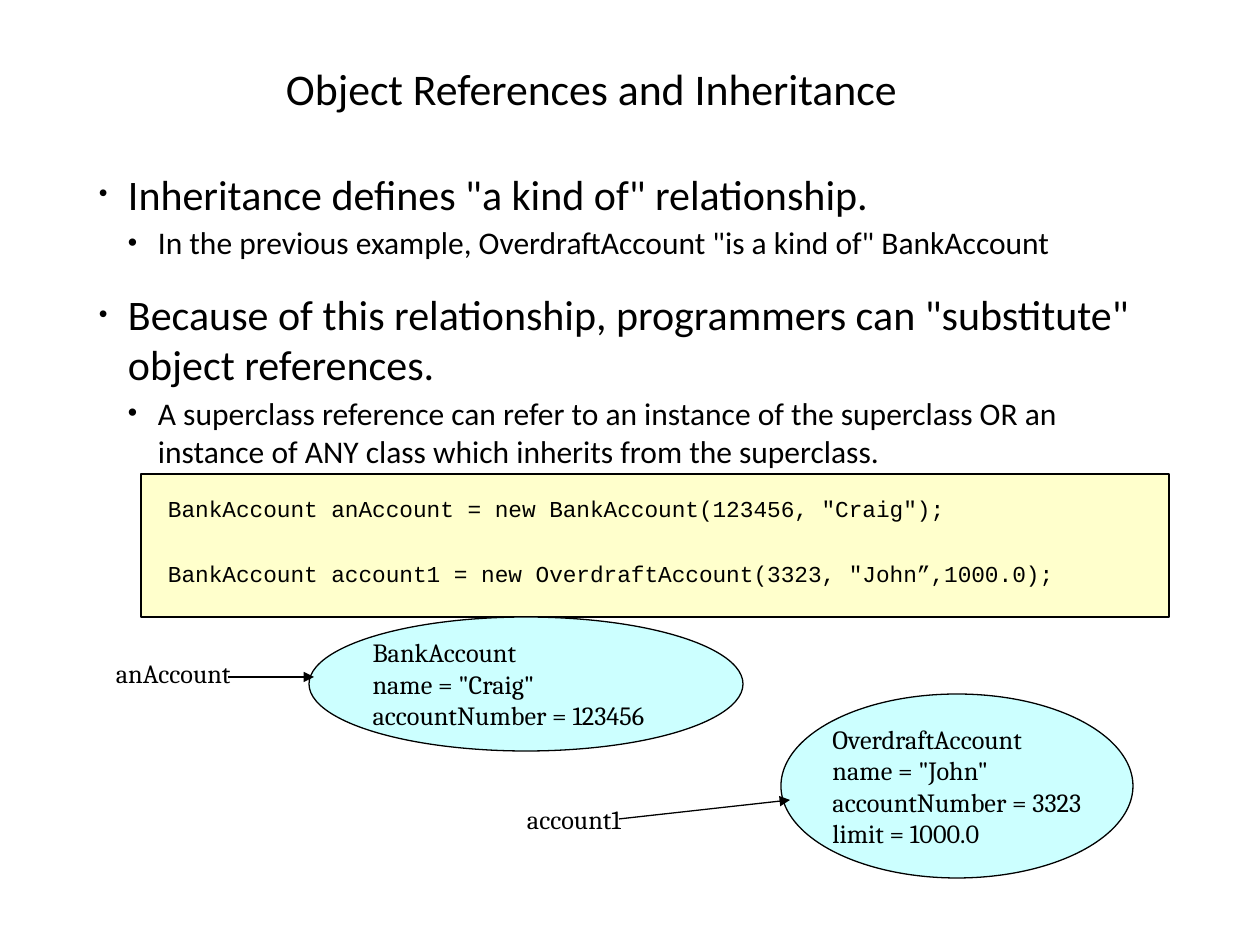
from lxml import etree
from pptx import Presentation, util as u
from pptx.dml.color import RGBColor
from pptx.enum import shapes, text
from pptx.oxml.ns import qn

PX = 914400 // 126
THEME = {
    "ink": "000000", "code": "FFFFCC", "object": "CCFFFF", "line": 0.75,
    "title": ("Calibri", 25), "point": ("Calibri", 24), "sub": ("Calibri", 18),
    "mono": ("Courier New", 13), "label": ("Cambria", 15),
}
LEVELS = {
    "point": {"lvl": 0, "left": 29, "hang": 29, "size": 59},
    "sub": {"lvl": 1, "left": 59, "hang": 30, "size": 85},
}
TITLE = ("Object References and Inheritance", (286, 62, 785, 53))
BODY_AT = (99, 168, 1071, 383)
BODY = [
    ("point", 2.5, 'Inheritance defines "a kind of" relationship.'),
    ("sub", 2.5, 'In the previous example, OverdraftAccount "is a kind of" BankAccount'),
    ("point", 16, 'Because of this relationship, programmers can "substitute" object references.'),
    ("sub", 2.5, "A superclass reference can refer to an instance of the superclass OR an "
                 "instance of ANY class which inherits from the superclass."),
]
PANEL_AT = (141, 474, 1028, 143)
CODE_AT = (168, 495, 949, 92)
CODE = [
    ("mono", 2.5, 'BankAccount anAccount = new BankAccount(123456, "Craig");'),
    ("mono", 21.5, 'BankAccount account1 = new OverdraftAccount(3323, "John”,1000.0);'),
]
LABELS = [
    ("anAccount", (116, 657, 115, 31)),
    ("account1", (527, 803, 96, 31)),
]
OBJECTS = [
    ((309, 617, 434, 134),
     ["BankAccount", 'name = "Craig"', "accountNumber = 123456"]),
    ((781, 694, 352, 184),
     ["OverdraftAccount", 'name = "John"', "accountNumber = 3323", "limit = 1000.0"]),
]
ARROWS = [(228, 677, 314, 677), (619, 819, 790, 800)]


def emu(box):
    return [n * PX for n in box]


def color(key):
    return RGBColor.from_string(THEME[key])


def bullet(par, lvl, left, hang, size):
    par.level = lvl
    prop = par._p.get_or_add_pPr()
    prop.set("marL", str(left * PX))
    prop.set("indent", str(-hang * PX))
    for tag, val in (("a:buSzPct", {"val": str(size * 1000)}),
                     ("a:buFont", {"typeface": "Arial"}),
                     ("a:buChar", {"char": "•"})):
        etree.SubElement(prop, qn(tag), val)


def write(shape, rows, wrap=True, anchor=text.MSO_ANCHOR.TOP):
    frame = shape.text_frame
    form = {"word_wrap": wrap, "auto_size": text.MSO_AUTO_SIZE.NONE,
            "vertical_anchor": anchor, "margin_left": 0, "margin_right": 0,
            "margin_top": 0, "margin_bottom": 0}
    for key, val in form.items():
        setattr(frame, key, val)
    for i, (kind, gap, words) in enumerate(rows):
        par = frame.paragraphs[0] if i == 0 else frame.add_paragraph()
        par.alignment = text.PP_ALIGN.LEFT
        par.space_before = u.Pt(gap)
        if kind in LEVELS:
            bullet(par, **LEVELS[kind])
        run = par.add_run()
        run.text = words
        name, size = THEME[kind]
        for key, val in {"name": name, "size": u.Pt(size)}.items():
            setattr(run.font, key, val)
        run.font.color.rgb = color("ink")


def box(kind, at, fill):
    shape = slide.shapes.add_shape(kind, *emu(at))
    shape.shadow.inherit = False
    shape.fill.solid()
    shape.fill.fore_color.rgb = color(fill)
    shape.line.color.rgb = color("ink")
    shape.line.width = u.Pt(THEME["line"])
    return shape


def arrow(ends):
    link = slide.shapes.add_connector(shapes.MSO_CONNECTOR.STRAIGHT, *emu(ends))
    link.line.color.rgb = color("ink")
    link.line.width = u.Pt(THEME["line"])
    etree.SubElement(link.line._get_or_add_ln(), qn("a:tailEnd"), {"type": "triangle"})
    etree.SubElement(link._element.spPr, qn("a:effectLst"))


deck = Presentation()
deck.slide_width, deck.slide_height = u.Inches(10), u.Inches(7.5)
slide = deck.slides.add_slide(deck.slide_layouts[5])

words, at = TITLE
title = slide.shapes.title
for key, val in zip(("left", "top", "width", "height"), emu(at)):
    setattr(title, key, val)
write(title, [("title", 0, words)])

write(slide.shapes.add_textbox(*emu(BODY_AT)), BODY)
panel = box(shapes.MSO_SHAPE.ROUNDED_RECTANGLE, PANEL_AT, "code")
panel.adjustments[0] = 0
write(slide.shapes.add_textbox(*emu(CODE_AT)), CODE)
for words, at in LABELS:
    write(slide.shapes.add_textbox(*emu(at)), [("label", 0, words)], wrap=False)
for at, lines in OBJECTS:
    write(box(shapes.MSO_SHAPE.OVAL, at, "object"),
          [("label", 0, line) for line in lines], anchor=text.MSO_ANCHOR.MIDDLE)
for ends in ARROWS:
    arrow(ends)

deck.save("out.pptx")
